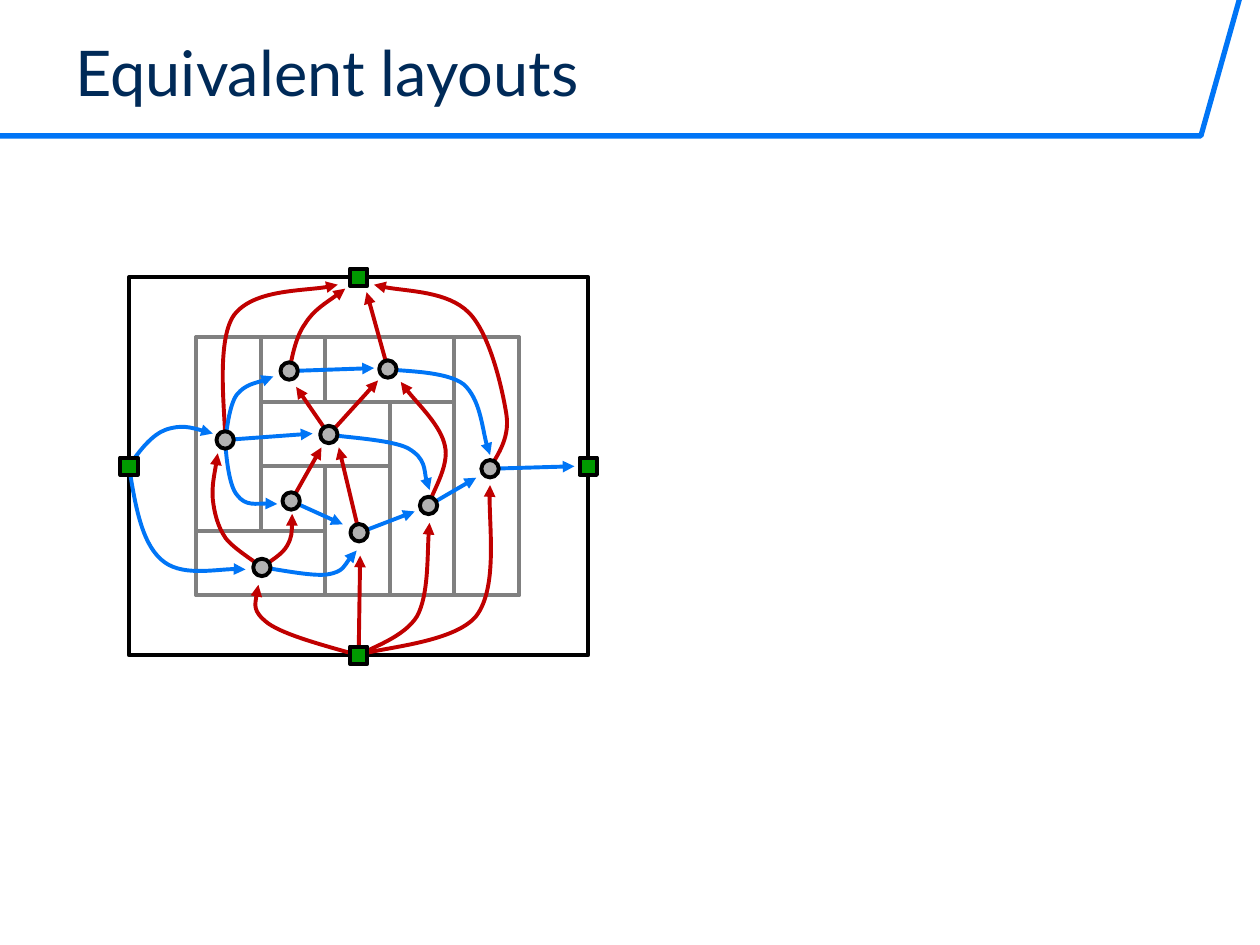
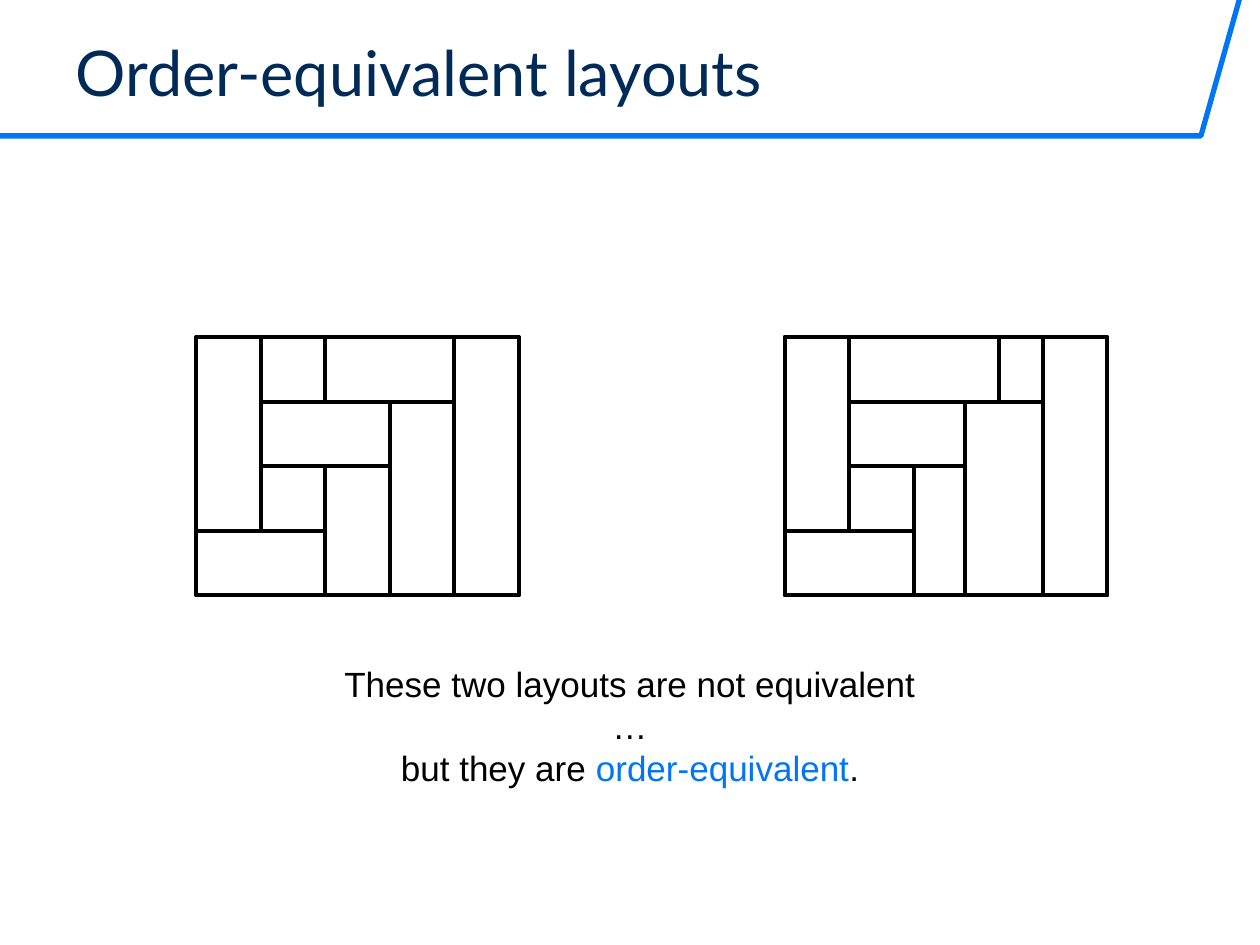
import pptx
import pptx.util
import pptx.dml.color
import pptx.enum.shapes
import pptx.enum.text
import pptx.oxml
import pptx.oxml.ns

Cm = pptx.util.Cm
Pt = pptx.util.Pt
SHAPE = pptx.enum.shapes.MSO_SHAPE
ALIGN = pptx.enum.text.PP_ALIGN

NAVY, BLUE, RED = "002A58", "0075F6", "C00000"
BLACK, GREY, SILVER, GREEN = "000000", "808080", "B2B2B2", "009900"
LINE_WIDTH = 2.25

TITLES = ["Equivalent layouts", "Order-equivalent layouts"]
REMARK = [
    [("These two layouts are not equivalent …", BLACK)],
    [("but they are ", BLACK), ("order-equivalent", BLUE), (".", BLACK)],
]
BAND = [(0, 2.74), (24.21, 2.74), (24.99, -0.03)]

CELL = 1.3
LAYOUT_TOP = 6.8
LEFT_LAYOUT, RIGHT_LAYOUT = 3.96, 15.82
LEFT_COLUMNS = {"a": 0, "b": 1, "c": 2, "d": 3, "e": 4, "f": 5, "split": 2}
RIGHT_COLUMNS = {**LEFT_COLUMNS, "d": 2.8, "split": 3.32}
CELLS = [
    ("a", 0, "f", 4),
    ("a", 3, "c", 4),
    ("a", 0, "b", 3),
    ("b", 2, "c", 3),
    ("c", 2, "d", 4),
    ("d", 1, "e", 4),
    ("e", 0, "f", 4),
    ("b", 1, "d", 2),
    ("split", 0, "e", 1),
]

FRAME = (2.6, 5.59, 9.26, 7.62)
MARK_SIZE = 0.35
NODES = {
    "southwest": (5.28, 11.44),
    "inner": (5.87, 10.1),
    "west": (4.54, 8.87),
    "northwest": (5.83, 7.48),
    "north": (7.82, 7.44),
    "east": (9.88, 9.45),
    "southeast": (8.64, 10.19),
    "south": (7.24, 10.74),
    "middle": (6.63, 8.76),
}
TERMINALS = {
    "top": (FRAME[0] + FRAME[2] / 2, FRAME[1]),
    "bottom": (FRAME[0] + FRAME[2] / 2, FRAME[1] + FRAME[3]),
    "left": (FRAME[0], FRAME[1] + FRAME[3] / 2),
    "right": (FRAME[0] + FRAME[2], FRAME[1] + FRAME[3] / 2),
}

ARROWS = {
    RED: [
        ("southwest", [(5.16, 11.33), (4.72, 11.07), (4.55, 10.85),
                       (4.39, 10.62), (4.32, 10.34), (4.29, 10.06),
                       (4.27, 9.78), (4.37, 9.32), (4.39, 9.14)]),
        ("southwest", [(5.46, 11.3), (5.69, 11.18), (5.79, 11),
                       (5.89, 10.82), (5.89, 10.59), (5.89, 10.36)]),
        ("southeast", [(8.69, 9.96), (9.07, 9.4), (8.97, 8.99),
                       (8.89, 8.59), (8.26, 7.98), (8.08, 7.7)]),
        ("middle", [(5.97, 7.8)]),
        ("inner", [(6.48, 9.02)]),
        ("south", [(6.83, 9.02)]),
        ("middle", [(7.62, 7.67)]),
        ("east", [(9.96, 9.25), (10.29, 8.89), (10.21, 8.36),
                  (10.13, 7.85), (9.88, 6.73), (9.45, 6.3),
                  (9.02, 5.87), (7.95, 5.87), (7.54, 5.74)]),
        ("north", [(7.39, 5.89)]),
        ("northwest", [(5.87, 7.32), (5.94, 6.81), (6.15, 6.53),
                       (6.32, 6.25), (6.78, 5.97), (6.96, 5.82)]),
        ("west", [(4.55, 8.43), (4.34, 6.88), (4.72, 6.35),
                  (5.11, 5.84), (6.38, 5.87), (6.81, 5.74)]),
        ("bottom", [(6.48, 13), (5.74, 12.8), (5.41, 12.57),
                    (5.08, 12.32), (5.16, 12.04), (5.21, 11.79)]),
        ("bottom", [(7.26, 11.2)]),
        ("bottom", [(7.47, 13.06), (8.15, 12.85), (8.41, 12.42),
                    (8.64, 11.99), (8.61, 10.95), (8.66, 10.54)]),
        ("bottom", [(7.59, 13.06), (9.14, 12.98), (9.6, 12.42),
                    (10.03, 11.86), (9.83, 10.34), (9.88, 9.78)]),
    ],
    BLUE: [
        ("southwest", [(5.51, 11.46), (6.3, 11.63), (6.6, 11.58),
                       (6.93, 11.53), (7.06, 11.2), (7.19, 11.1)]),
        ("middle", [(6.86, 8.81), (7.9, 8.86), (8.23, 9.04),
                    (8.59, 9.25), (8.56, 9.7), (8.66, 9.88)]),
        ("east", [(11.58, 9.4)]),
        ("inner", [(6.91, 10.57)]),
        ("northwest", [(7.54, 7.42)]),
        ("south", [(8.36, 10.31)]),
        ("southeast", [(9.6, 9.63)]),
        ("north", [(8.08, 7.49), (8.99, 7.47), (9.35, 7.75),
                   (9.68, 8.05), (9.75, 8.89), (9.88, 9.17)]),
        ("west", [(4.57, 8.71), (4.62, 8.15), (4.78, 7.95),
                  (4.95, 7.75), (5.36, 7.67), (5.51, 7.59)]),
        ("west", [(6.3, 8.74)]),
        ("west", [(4.55, 9.07), (4.6, 9.78), (4.78, 9.98),
                  (4.95, 10.21), (5.41, 10.13), (5.59, 10.16)]),
        ("left", [(2.82, 9.07), (3.07, 8.76), (3.35, 8.66),
                  (3.66, 8.56), (3.96, 8.64), (4.29, 8.74)]),
        ("left", [(2.72, 10.13), (2.84, 10.92), (3.25, 11.28),
                  (3.63, 11.63), (4.6, 11.43), (4.95, 11.48)]),
    ],
}


def rgb(color):
    return pptx.dml.color.RGBColor.from_string(color)


def set_line(shape, color, width=LINE_WIDTH):
    shape.line.color.rgb = rgb(color)
    shape.line.width = Pt(width)


def style_shape(shape, line, fill=None, width=LINE_WIDTH):
    shape.shadow.inherit = False
    if fill:
        shape.fill.solid()
        shape.fill.fore_color.rgb = rgb(fill)
    else:
        shape.fill.background()
    set_line(shape, line, width)


def add_box(shapes, kind, place, line, fill=None):
    box = shapes.add_shape(kind, *map(Cm, place))
    style_shape(box, line, fill)


def add_outline(shapes, points, color, width=LINE_WIDTH):
    start, *rest = [tuple(map(Cm, point)) for point in points]
    builder = shapes.build_freeform(*start)
    builder.add_line_segments(rest, close=False)
    outline = builder.convert_to_shape()
    style_shape(outline, color, width=width)
    return outline


def bend(outline):
    qn = pptx.oxml.ns.qn
    lines = list(outline.element.iter(qn("a:lnTo")))
    for first in range(0, len(lines), 3):
        curve = pptx.oxml.parse_xml(
            f"<a:cubicBezTo {pptx.oxml.ns.nsdecls('a')}/>")
        lines[first].addprevious(curve)
        for line in lines[first:first + 3]:
            curve.append(line[0])
            line.getparent().remove(line)


def add_arrow(shapes, points, color):
    if len(points) == 2:
        (x1, y1), (x2, y2) = points
        arrow = shapes.add_connector(
            pptx.enum.shapes.MSO_CONNECTOR.STRAIGHT,
            Cm(x1), Cm(y1), Cm(x2), Cm(y2))
        set_line(arrow, color)
        arrow.element.spPr.append(pptx.oxml.parse_xml(
            f"<a:effectLst {pptx.oxml.ns.nsdecls('a')}/>"))
    else:
        arrow = add_outline(shapes, points, color)
        bend(arrow)
    line = arrow.element.spPr.find(pptx.oxml.ns.qn("a:ln"))
    line.append(pptx.oxml.parse_xml(
        f"<a:tailEnd {pptx.oxml.ns.nsdecls('a')} type='triangle'/>"))


def add_layout(page, left, columns, color):
    group = page.shapes.add_group_shape()
    for start, top, end, bottom in CELLS:
        x1, x2 = columns[start], columns[end]
        place = (left + x1 * CELL, LAYOUT_TOP + top * CELL,
                 (x2 - x1) * CELL, (bottom - top) * CELL)
        add_box(group.shapes, SHAPE.RECTANGLE, place, color)


def add_marks(shapes, kind, centers, fill):
    for x, y in centers.values():
        place = (x - MARK_SIZE / 2, y - MARK_SIZE / 2, MARK_SIZE, MARK_SIZE)
        add_box(shapes, kind, place, BLACK, fill)


def add_graph(page):
    shapes = page.shapes.add_group_shape().shapes
    add_box(shapes, SHAPE.RECTANGLE, FRAME, BLACK)
    starts = {**NODES, **TERMINALS}
    for color, arrows in ARROWS.items():
        for start, points in arrows:
            add_arrow(shapes, [starts[start], *points], color)
    add_marks(shapes, SHAPE.OVAL, NODES, SILVER)
    add_marks(shapes, SHAPE.RECTANGLE, TERMINALS, GREEN)


def add_span(para, text, font, size, color):
    span = para.add_run()
    span.text = text
    span.font.name = font
    span.font.size = Pt(size)
    span.font.color.rgb = rgb(color)


def add_page(deck, title):
    page = deck.slides.add_slide(deck.slide_layouts[5])
    box = page.shapes.title
    box.left, box.top, box.width, box.height = map(
        Cm, (1.27, 0.53, 23.57, 1.8))
    frame = box.text_frame
    frame.auto_size = pptx.enum.text.MSO_AUTO_SIZE.NONE
    frame.vertical_anchor = pptx.enum.text.MSO_ANCHOR.BOTTOM
    para = frame.paragraphs[0]
    para.alignment = ALIGN.LEFT
    add_span(para, title, "Lato", 36, NAVY)
    return page


def move_band_to_layout(page):
    band = add_outline(page.shapes, BAND, BLUE, 3)
    band.element.nvSpPr.cNvPr.set("id", "20")
    page.slide_layout.shapes.element.append(band.element)


def add_remark(page):
    box = page.shapes.add_textbox(*map(Cm, (6.4, 13.23, 12.6, 2.7)))
    box.text_frame.word_wrap = True
    para = box.text_frame.paragraphs[0]
    para.alignment = ALIGN.CENTER
    for number, spans in enumerate(REMARK):
        if number:
            para.add_line_break()
        for text, color in spans:
            add_span(para, text, "Arial", 20, color)


def main():
    deck = pptx.Presentation()
    deck.slide_width, deck.slide_height = Cm(25.4), Cm(19.05)
    graph_page, pair_page = [add_page(deck, title) for title in TITLES]
    move_band_to_layout(graph_page)
    add_layout(graph_page, LEFT_LAYOUT, LEFT_COLUMNS, GREY)
    add_graph(graph_page)
    add_layout(pair_page, LEFT_LAYOUT, LEFT_COLUMNS, BLACK)
    add_layout(pair_page, RIGHT_LAYOUT, RIGHT_COLUMNS, BLACK)
    add_remark(pair_page)
    deck.save("out.pptx")


if __name__ == "__main__":
    main()
